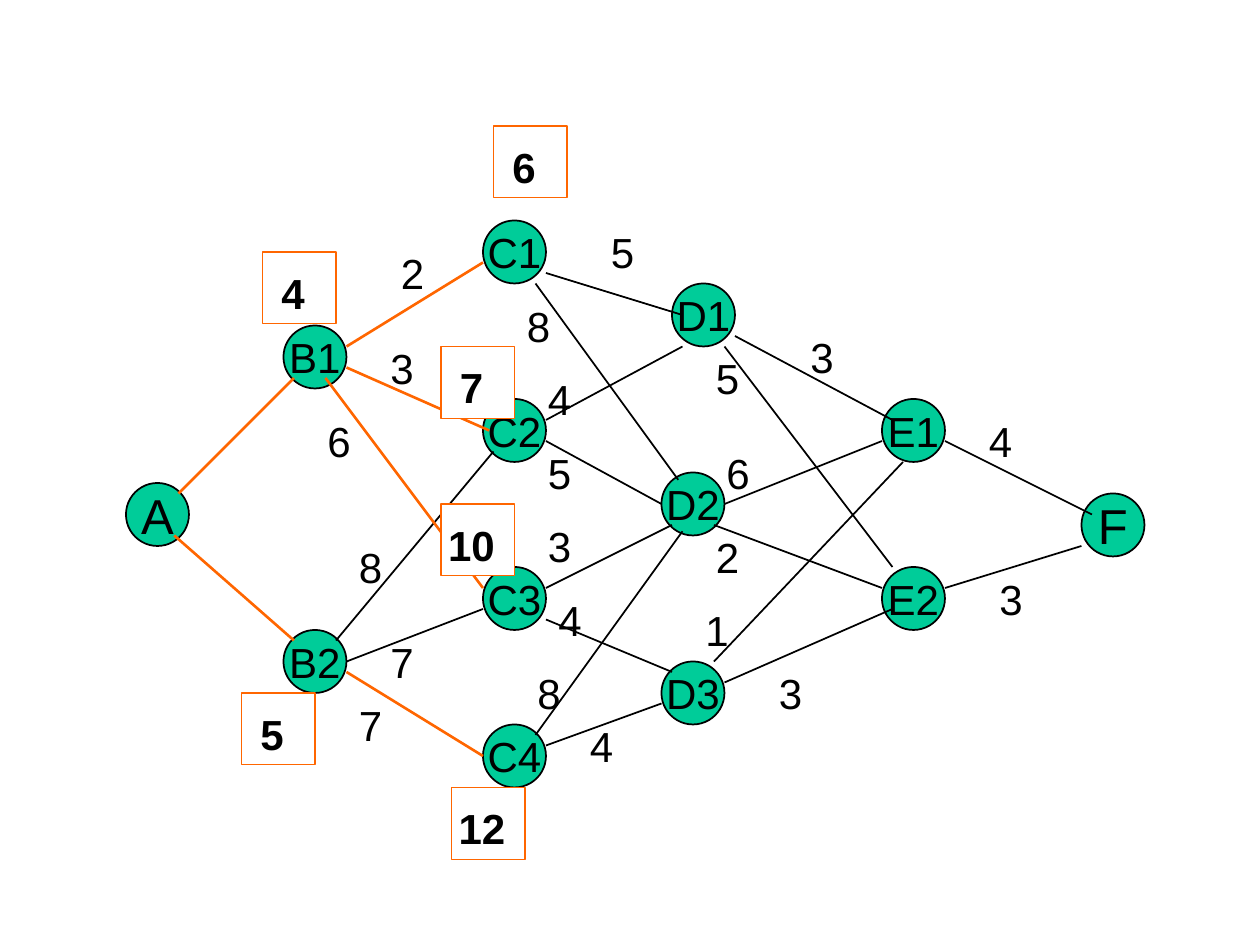
from dataclasses import dataclass

from lxml import etree
from pptx import Presentation
from pptx import util as u
from pptx.dml.color import RGBColor
from pptx.enum import shapes, text
from pptx.oxml.ns import qn


@dataclass(frozen=True)
class Theme:
    font: str = "Arial"
    ink: str = "000000"
    node: str = "00CC99"
    paper: str = "FFFFFF"
    best: str = "FF6600"
    label_size: int = 24
    end_size: int = 28
    thin: float = 0.75
    normal: float = 1
    thick: float = 1.5


THEME = Theme()

# All positions are columns and rows of a 120 x 90 grid over the slide
CELL = u.Inches(10) / 120
NODE = 6
COST_SIZE = (7, 6.84)

# Node name: left column, top row
NODES = {
    "A": (12, 46),
    "B1": (27, 31), "B2": (27, 60),
    "C1": (46, 21), "C2": (46, 38), "C3": (46, 54), "C4": (46, 69),
    "D1": (64, 27), "D2": (63, 45), "D3": (63, 63),
    "E1": (84, 38), "E2": (84, 54),
    "F": (103, 47),
}

# Edge: start, end, distance, place of the distance
ROUTES = [
    # B to C
    ((32, 61), (47, 43), "8", (33, 51)),
    ((33, 63), (46, 58), "7", (36, 60)),
    # C to D
    ((52, 26), (65, 30), "5", (57, 21)),
    ((51, 27), (64.6, 45.7), "8", (49, 28)),
    ((52, 40), (65, 33), "4", (51, 35)),
    ((52, 42), (63, 48), "5", (51, 42)),
    ((52, 56), (64, 50), "3", (51, 49)),
    ((52, 59), (64, 64), "4", (52, 56)),
    ((51, 70), (65, 50.6), "8", (50, 63)),
    ((52, 71), (63, 67), "4", (55, 68)),
    # D to E
    ((70, 32), (85, 40), "3", (76, 31)),
    ((69, 33), (85, 54), "5", (67, 33)),
    ((69, 48), (84, 42), "6", (68, 42)),
    ((68, 50), (84, 56), "2", (67, 50)),
    ((68, 63), (86, 44), "1", (66, 57)),
    ((69, 65), (85, 58), "3", (73, 63)),
    # E to F
    ((90, 42), (104, 49), "4", (93, 39)),
    ((90, 56), (103, 52), "3", (94, 54)),
]

# Edges on the best way to each node of stages B and C
BEST_ROUTES = [
    ((17, 47), (28, 36), None, None),
    ((16.6, 51), (28, 61), None, None),
    ((33, 33), (46, 25), "2", (37, 23)),
    ((33, 35), (46.6, 41), "3", (36, 32)),
    ((31, 36), (46, 56), "6", (30, 39)),
    ((33, 64), (46, 72), "7", (33, 66)),
]

# Least total distance from A: left column, top row
COSTS = {
    "4": (25, 24), "5": (23, 66), "6": (47, 12),
    "7": (42, 33), "10": (42, 48), "12": (43, 75),
}


def grid(*cells):
    return [round(cell * CELL) for cell in cells]


def rgb(colour):
    return RGBColor.from_string(colour)


def write(holder, words, size=THEME.label_size, bold=False, centred=True):
    paragraph = holder.text_frame.paragraphs[0]
    paragraph.text = words
    paragraph.alignment = (
        text.PP_ALIGN.CENTER if centred else text.PP_ALIGN.LEFT)
    paragraph.font.name = THEME.font
    paragraph.font.size = u.Pt(size)
    paragraph.font.bold = bold
    paragraph.font.color.rgb = rgb(THEME.ink)


def add_outlined(slide, kind, place, size, fill, line, width):
    outlined = slide.shapes.add_shape(kind, *grid(*place, *size))
    outlined.shadow.inherit = False
    outlined.fill.solid()
    outlined.fill.fore_color.rgb = rgb(fill)
    outlined.line.color.rgb = rgb(line)
    outlined.line.width = u.Pt(width)
    return outlined


def add_node(slide, name, place):
    node = add_outlined(slide, shapes.MSO_SHAPE.OVAL, place, (NODE, NODE),
                        THEME.node, THEME.ink, THEME.normal)
    node.text_frame.word_wrap = False
    node.text_frame.vertical_anchor = text.MSO_ANCHOR.MIDDLE
    write(node, name, THEME.end_size if len(name) == 1 else THEME.label_size)


def add_route(slide, start, end, colour, width):
    route = slide.shapes.add_connector(
        shapes.MSO_CONNECTOR.STRAIGHT, *grid(*start, *end))
    route.line.color.rgb = rgb(colour)
    route.line.width = u.Pt(width)
    etree.SubElement(route._element.spPr, qn("a:effectLst"))


def add_distance(slide, distance, place):
    label = slide.shapes.add_textbox(*grid(*place, NODE, NODE))
    label.text_frame.word_wrap = True
    write(label, distance, centred=False)


def add_cost(slide, cost, place):
    box = add_outlined(slide, shapes.MSO_SHAPE.RECTANGLE, place, COST_SIZE,
                       THEME.paper, THEME.best, THEME.thin)
    frame = box.text_frame
    frame.word_wrap = True
    frame.margin_left = 0  # the number sits a little left of the middle
    frame.vertical_anchor = text.MSO_ANCHOR.BOTTOM
    write(box, cost, bold=True)


def main():
    deck = Presentation()
    deck.slide_width, deck.slide_height = grid(120, 90)
    slide = deck.slides.add_slide(deck.slide_layouts[6])

    # Network
    for name, place in NODES.items():
        add_node(slide, name, place)
    for routes, colour, width in (
            (ROUTES, THEME.ink, THEME.normal),
            (BEST_ROUTES, THEME.best, THEME.thick)):
        for start, end, distance, place in routes:
            add_route(slide, start, end, colour, width)
            if distance:
                add_distance(slide, distance, place)

    # Totals, in front of the routes
    for cost, place in COSTS.items():
        add_cost(slide, cost, place)

    deck.save("out.pptx")


if __name__ == "__main__":
    main()
